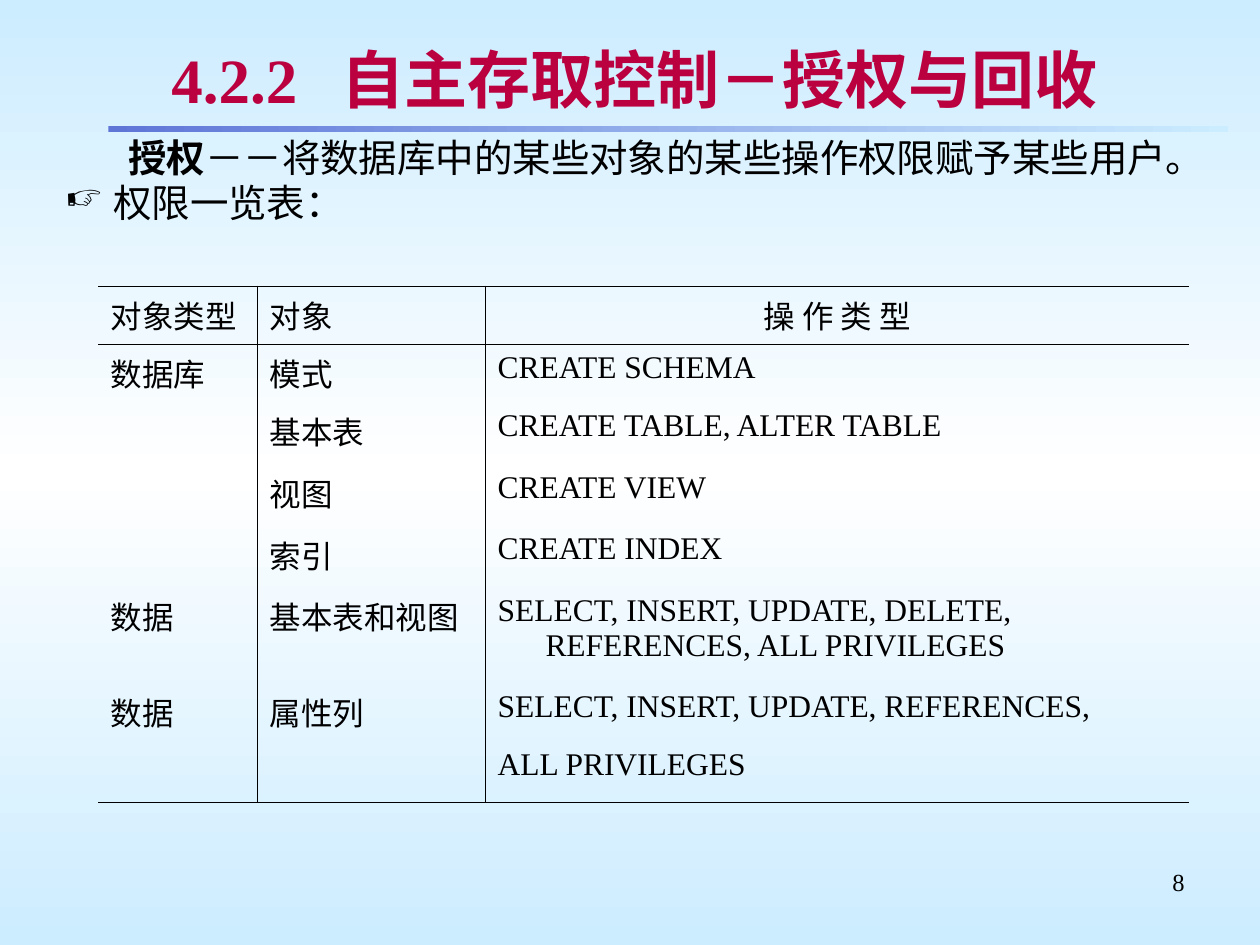
from lxml import etree
from pptx import Presentation
from pptx.dml.color import RGBColor
from pptx.enum import shapes, text
from pptx.oxml.ns import qn
from pptx.util import Inches, Pt

# Content
TITLE_NUMBER, TITLE_TEXT = "4.2.2", "自主存取控制－授权与回收"
TERM, DEFINITION = "授权", "－－将数据库中的某些对象的某些操作权限赋予某些用户。"
LIST_HEADING = "权限一览表："
PAGE_NUMBER = "8"
PRIVILEGES = [
    ("对象类型", "对象", "操 作 类 型"),
    ("数据库", "模式", "CREATE SCHEMA"),
    ("", "基本表", "CREATE TABLE, ALTER TABLE"),
    ("", "视图", "CREATE VIEW"),
    ("", "索引", "CREATE INDEX"),
    ("数据", "基本表和视图", "SELECT, INSERT, UPDATE, DELETE, REFERENCES, ALL PRIVILEGES"),
    ("数据", "属性列", "SELECT, INSERT, UPDATE, REFERENCES,"),
    ("", "", "ALL PRIVILEGES"),
]
COLUMN_WIDTHS = (1.26, 1.81, 5.59)
ROW_HEIGHTS = (0.46, 0.46, 0.49, 0.49, 0.49, 0.76, 0.46, 0.49)

THEME = {
    "font": "Times New Roman",
    "ink": "000000", "title": "BA003E", "title_shadow": "C0C0C0",
    "background": ((0, "CCECFF"), (50, "FFFFFF"), (100, "CCECFF")),
    "bar": ((0, "5F76D7"), (100, "CCECFF")),
    "title_size": 36, "body_size": 22, "table_size": 18, "number_size": 14,
    "rule": 0.45, "hanging": 0.38,
}
PLAIN_TABLE = "{2D5ABB26-0587-4C30-8999-92F81FD0307C}"


def apply(target, **values):
    for name, value in values.items():
        setattr(target, name, value)


def box(left, top, width, height):
    return [Inches(length) for length in (left, top, width, height)]


def child(parent, tag, **attributes):
    return etree.SubElement(parent, qn(tag), {k: str(v) for k, v in attributes.items()})


def gradient(owner, fill, stops, angle):
    fill.gradient()
    fill.gradient_angle = angle
    stop_list = owner.element.find(".//" + qn("a:gsLst"))
    for old in list(stop_list):
        stop_list.remove(old)
    for position, color in stops:
        child(child(stop_list, "a:gs", pos=position * 1000), "a:srgbClr", val=color)


def write(paragraph, words, size, color="ink", bold=False):
    run = paragraph.add_run()
    run.text = words
    apply(run.font, name=THEME["font"], size=Pt(THEME[size]), bold=bold)
    run.font.color.rgb = RGBColor.from_string(THEME[color])
    return run


def indent(paragraph, left, first):
    properties = paragraph._p.get_or_add_pPr()
    properties.set("marL", str(Inches(left)))
    properties.set("indent", str(Inches(first)))
    return properties


def border(cell, sides):
    properties = cell._tc.get_or_add_tcPr()
    for side in "LRTB":
        if side in sides:
            line = child(properties, f"a:ln{side}", w=Pt(THEME["rule"]))
            child(child(line, "a:solidFill"), "a:srgbClr", val=THEME["ink"])
        else:
            child(child(properties, f"a:ln{side}", w=0), "a:noFill")
    cell.fill.background()


prs = Presentation()
apply(prs, slide_width=Inches(10), slide_height=Inches(7.5))
slide = prs.slides.add_slide(prs.slide_layouts[5])
gradient(slide, slide.background.fill, THEME["background"], 270)

# Title with a soft text shadow
title = slide.shapes.title
left, top, width, height = box(1.26, 0.29, 8.24, 0.67)
apply(title, left=left, top=top, width=width, height=height)
apply(title.text_frame, vertical_anchor=text.MSO_ANCHOR.MIDDLE, word_wrap=True,
      auto_size=text.MSO_AUTO_SIZE.NONE, margin_left=Inches(0.1), margin_right=Inches(0.1),
      margin_top=Inches(0.04), margin_bottom=Inches(0.04))
heading = title.text_frame.paragraphs[0]
heading.alignment = text.PP_ALIGN.LEFT
for words, spacing in ((TITLE_NUMBER, 0), (" ", 1650), (TITLE_TEXT, 0)):
    properties = write(heading, words, "title_size", "title", True).font._element
    properties.set("spc", str(spacing))
    effects = etree.Element(qn("a:effectLst"))
    shadow = child(effects, "a:outerShdw", dist=Pt(2), dir=2700000)
    child(shadow, "a:srgbClr", val=THEME["title_shadow"])
    properties.find(qn("a:solidFill")).addnext(effects)

# Bar under the title, behind the text
bar = slide.shapes.add_shape(shapes.MSO_SHAPE.RECTANGLE, *box(0.86, 1, 8.89, 0.05))
bar.shadow.inherit = False
bar.line.fill.background()
gradient(bar, bar.fill, THEME["bar"], 0)
title.element.addprevious(bar.element)

# Definition and list heading
body = slide.shapes.add_textbox(*box(0.42, 1.08, 9.25, 6)).text_frame
body.word_wrap = True
definition, list_heading = body.paragraphs[0], body.add_paragraph()
for paragraph in (definition, list_heading):
    apply(paragraph, space_before=Pt(4.1), line_spacing=0.82)
indent(definition, 0.81, -0.31)
write(definition, TERM, "body_size", bold=True)
write(definition, DEFINITION, "body_size")
bullet = indent(list_heading, THEME["hanging"], -THEME["hanging"])
child(child(bullet, "a:buClr"), "a:srgbClr", val=THEME["ink"])
child(bullet, "a:buSzPct", val=95000)
child(bullet, "a:buChar", char="☞")
write(list_heading, LIST_HEADING, "body_size")

# Privilege table
row_count, column_count = len(PRIVILEGES), len(COLUMN_WIDTHS)
frame = slide.shapes.add_table(row_count, column_count,
                               *box(0.78, 2.27, sum(COLUMN_WIDTHS), sum(ROW_HEIGHTS)))
table = frame.table
apply(table, first_row=False, horz_banding=False)
table._tbl.tblPr.find(qn("a:tableStyleId")).text = PLAIN_TABLE
for column, column_width in zip(table.columns, COLUMN_WIDTHS):
    column.width = Inches(column_width)
for r, (row_height, entries) in enumerate(zip(ROW_HEIGHTS, PRIVILEGES)):
    table.rows[r].height = Inches(row_height)
    for c, words in enumerate(entries):
        cell = table.cell(r, c)
        sides = {"L": c > 0, "R": c < column_count - 1,
                 "T": r < 2, "B": r in (0, row_count - 1)}
        border(cell, [side for side, drawn in sides.items() if drawn])
        if words:
            entry = cell.text_frame.paragraphs[0]
            indent(entry, THEME["hanging"], -THEME["hanging"])
            if r == 0 and c == column_count - 1:
                entry.alignment = text.PP_ALIGN.CENTER
            write(entry, words, "table_size")

# Page number
number = slide.shapes.add_textbox(*box(7.17, 6.83, 2.33, 0.52)).text_frame
number.word_wrap = True
number.paragraphs[0].alignment = text.PP_ALIGN.RIGHT
write(number.paragraphs[0], PAGE_NUMBER, "number_size")

prs.save("out.pptx")
